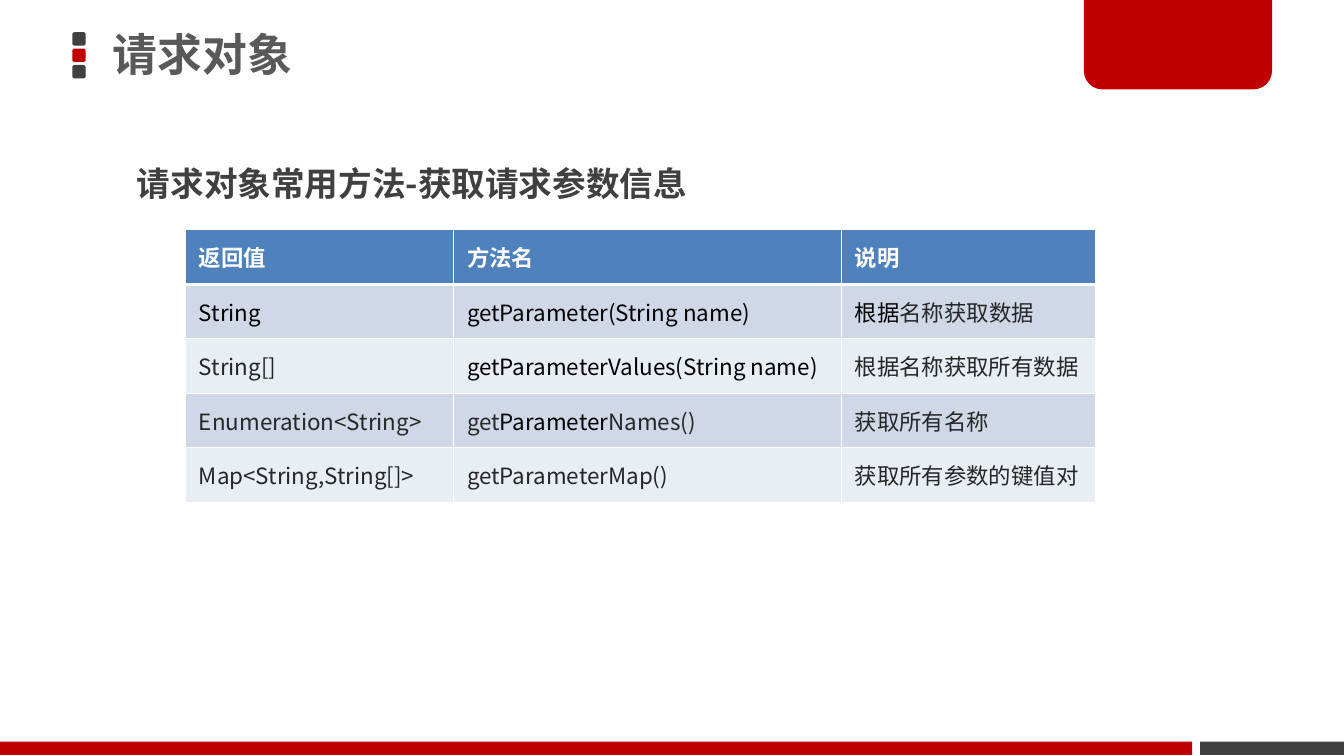
from typing import NamedTuple

from lxml import etree
from pptx import Presentation
from pptx.dml.color import RGBColor
from pptx.enum.shapes import MSO_SHAPE
from pptx.enum.text import MSO_ANCHOR, MSO_AUTO_SIZE, PP_ALIGN
from pptx.oxml.ns import qn
from pptx.util import Inches, Pt

RECT = MSO_SHAPE.RECTANGLE
ROUND = MSO_SHAPE.ROUNDED_RECTANGLE
TAB = MSO_SHAPE.ROUND_2_SAME_RECTANGLE
MIDDLE = MSO_ANCHOR.MIDDLE
LEFT = PP_ALIGN.LEFT

WIDTH = Inches(10)
HEIGHT = WIDTH * 9 // 16
FONT = "Noto Sans CJK SC"
COLORS = {
    "red": "C00000",
    "dark": "404040",
    "title": "595959",
    "ink": "262626",
    "black": "000000",
    "white": "FFFFFF",
    "header": "4F81BD",
    "odd": "D0D8E8",
    "even": "E9EDF4",
}


class Box(NamedTuple):
    """Left, top, width and height in percent of the slide."""

    x: float
    y: float
    w: float
    h: float

    def emu(self) -> tuple[int, int, int, int]:
        return (
            int(WIDTH * self.x / 100),
            int(HEIGHT * self.y / 100),
            int(WIDTH * self.w / 100),
            int(HEIGHT * self.h / 100),
        )


class Block(NamedTuple):
    kind: MSO_SHAPE
    box: Box
    color: str
    adjustments: tuple[float, ...] = ()


class Span(NamedTuple):
    text: str
    color: str = "ink"


BLOCKS = [
    *(
        Block(ROUND, Box(5.38, 4.26 + 2.17 * i, 1, 1.78), color, (0.17,))
        for i, color in enumerate(("dark", "red", "dark"))
    ),
    Block(RECT, Box(89.3, 98.1, 10.7, 1.78), "dark"),
    Block(TAB, Box(80.65, -0.36, 14, 12.17), "red", (0, 0.2)),
    Block(RECT, Box(0, 98.1, 88.7, 1.78), "red"),
]
TITLE_BOX = Box(6.9, -0.36, 58.9, 15.82)
SUBTITLE_BOX = Box(9.2, 17.96, 44.7, 9.78)
TABLE_BOX = Box(13.8, 30.4, 67.7, 36.05)
COLUMN_SHARES = (19.95, 28.85, 18.9)

HEADINGS = ("返回值", "方法名", "说明")
METHODS = [
    (
        [Span("String", "black")],
        [Span("getParameter(String name)", "black")],
        [Span("根据", "black"), Span("名称获取数据")],
    ),
    (
        [Span("String[]")],
        [Span("getParameterValues(String name)", "black")],
        [Span("根据名称获取所有数据")],
    ),
    (
        [Span("Enumeration<String>")],
        [Span("get"), Span("Parameter", "black"), Span("Names()")],
        [Span("获取所有名称")],
    ),
    (
        [Span("Map<String,String[]>")],
        [Span("getParameterMap()")],
        [Span("获取所有参数的键值对")],
    ),
]


def rgb(name: str) -> RGBColor:
    return RGBColor.from_string(COLORS[name])


def style_run(r, size: float, color: str, bold: bool) -> None:
    r.font.size = Pt(size)
    r.font.bold = bold
    r.font.color.rgb = rgb(color)
    r.font.name = FONT
    etree.SubElement(r._r.get_or_add_rPr(), qn("a:ea"), typeface=FONT)


def draw_block(s, block: Block) -> None:
    sp = s.shapes.add_shape(block.kind, *block.box.emu())
    sp.shadow.inherit = False
    sp.fill.solid()
    sp.fill.fore_color.rgb = rgb(block.color)
    sp.line.fill.background()
    for i, value in enumerate(block.adjustments):
        sp.adjustments[i] = value


def write_line(tf, text: str, size: float, color: str, spacing: float) -> None:
    tf.word_wrap = True
    tf.text = text
    p = tf.paragraphs[0]
    p.alignment = LEFT
    p.line_spacing = spacing
    style_run(p.runs[0], size, color, True)


def draw_title(s, text: str) -> None:
    sp = s.shapes.title
    sp.left, sp.top, sp.width, sp.height = TITLE_BOX.emu()
    tf = sp.text_frame
    tf.auto_size = MSO_AUTO_SIZE.NONE
    tf.vertical_anchor = MIDDLE
    tf.margin_left, tf.margin_right = Inches(0.15), Inches(0.08)
    tf.margin_top = tf.margin_bottom = Inches(0.04)
    write_line(tf, text, 24, "title", 0.9)


def draw_subtitle(s, text: str) -> None:
    tf = s.shapes.add_textbox(*SUBTITLE_BOX.emu()).text_frame
    write_line(tf, text, 18, "dark", 1.5)
    tf.auto_size = MSO_AUTO_SIZE.SHAPE_TO_FIT_TEXT


def add_borders(cell, top: float, bottom: float) -> None:
    tcPr = cell._tc.get_or_add_tcPr()
    for side, width in (("L", 0.5), ("R", 0.5), ("T", top), ("B", bottom)):
        ln = etree.SubElement(tcPr, qn(f"a:ln{side}"), w=str(Pt(width)))
        fill = etree.SubElement(ln, qn("a:solidFill"))
        etree.SubElement(fill, qn("a:srgbClr"), val=COLORS["white"])


def draw_table(s) -> None:
    rows = [tuple([Span(text, "white")] for text in HEADINGS), *METHODS]
    table = s.shapes.add_table(len(rows), len(HEADINGS), *TABLE_BOX.emu()).table
    for column, share in zip(table.columns, COLUMN_SHARES):
        column.width = int(WIDTH * share / 100)
    for i, row in enumerate(rows):
        fill = "header" if i == 0 else ("odd" if i % 2 else "even")
        for j, spans in enumerate(row):
            cell = table.cell(i, j)
            cell.vertical_anchor = MIDDLE
            add_borders(cell, 1.5 if i == 1 else 0.5, 1.5 if i == 0 else 0.5)
            cell.fill.solid()
            cell.fill.fore_color.rgb = rgb(fill)
            p = cell.text_frame.paragraphs[0]
            for span in spans:
                r = p.add_run()
                r.text = span.text
                style_run(r, 12, span.color, i == 0)


def main() -> None:
    prs = Presentation()
    prs.slide_width, prs.slide_height = WIDTH, HEIGHT
    s = prs.slides.add_slide(prs.slide_layouts[5])
    for block in BLOCKS:
        draw_block(s, block)
    draw_title(s, "请求对象")
    draw_subtitle(s, "请求对象常用方法-获取请求参数信息")
    draw_table(s)
    prs.save("out.pptx")


if __name__ == "__main__":
    main()
